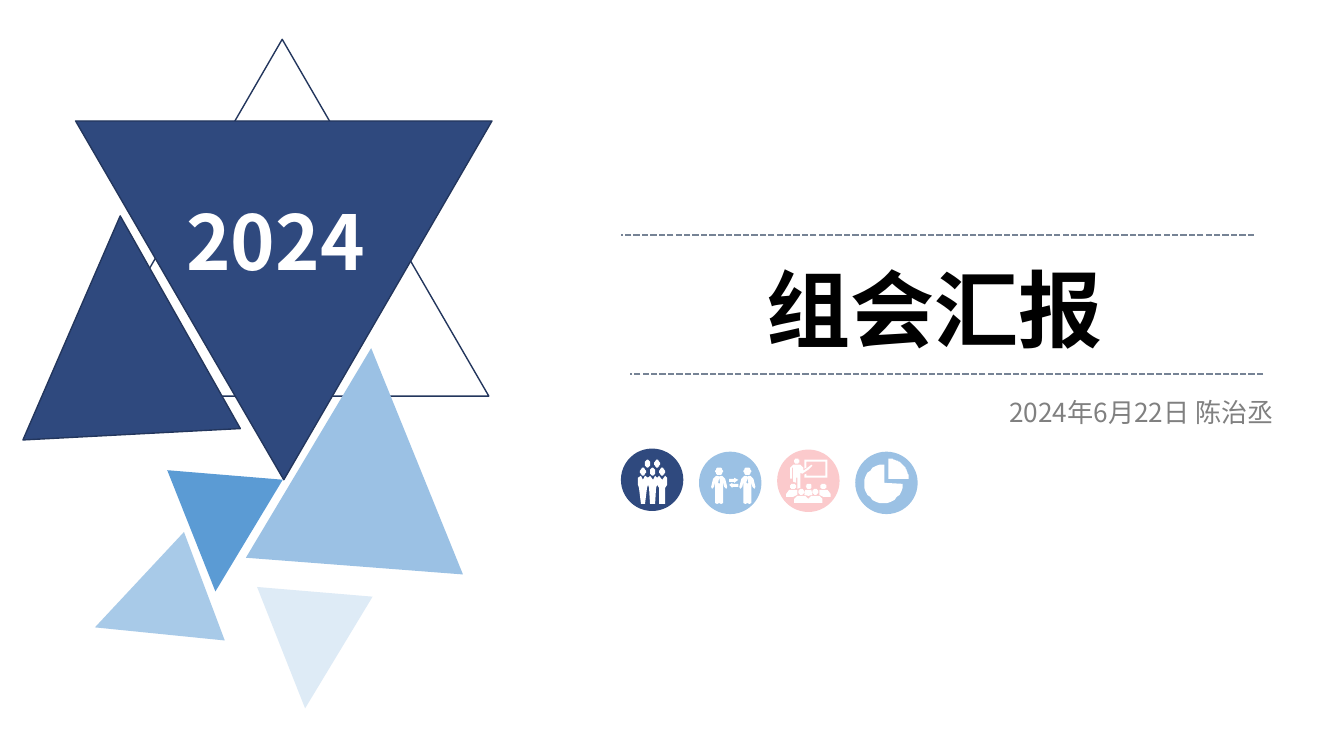
import math

import pptx
import pptx.dml.color
import pptx.enum.dml
import pptx.enum.shapes
import pptx.enum.text
import pptx.oxml
import pptx.oxml.ns
import pptx.util

Pt = pptx.util.Pt
RGBColor = pptx.dml.color.RGBColor
Shapes = pptx.enum.shapes.MSO_SHAPE
Align = pptx.enum.text.PP_ALIGN
Anchor = pptx.enum.text.MSO_ANCHOR

NAVY = RGBColor(0x2F, 0x49, 0x7E)
NAVY_EDGE = RGBColor(0x23, 0x36, 0x5D)
BLUE = RGBColor(0x5B, 0x9B, 0xD4)
LIGHT_BLUE = RGBColor(0x9B, 0xC1, 0xE4)
PINK = RGBColor(0xFB, 0xCA, 0xCC)
RULE_GRAY = RGBColor(0x76, 0x83, 0x95)
TEXT_GRAY = RGBColor(0x80, 0x80, 0x80)
BLACK = RGBColor(0, 0, 0)
WHITE = RGBColor(0xFF, 0xFF, 0xFF)
FONT = "Noto Sans CJK SC"

# left, top, width, height, rotation, fill, edge, opacity in percent
TRIANGLES = [
    (42, 0, 295.2, 254.9, 0, None, NAVY_EDGE, 100),
    (42, 58.3, 297.4, 256.3, 180, NAVY, NAVY_EDGE, 100),
    (0.2, 126, 155.5, 156.2, 357, NAVY, NAVY_EDGE, 100),
    (169.4, 220.3, 155.5, 156.2, 4.4, LIGHT_BLUE, None, 100),
    (103.9, 311, 82.8, 83.5, 184.7, BLUE, None, 100),
    (53.5, 363.6, 82.8, 83.5, 249.4, BLUE, None, 53),
    (168, 394.5, 82.8, 83.5, 184.8, BLUE, None, 20),
]

ICON_GRID = 62  # units across each disc
DISC_SIZE = 44.6
DISC_PITCH = 55.8


def paint(shape, fill, edge=None, opacity=100):
    shape.shadow.inherit = False
    if fill is None:
        shape.fill.background()
    else:
        shape.fill.solid()
        shape.fill.fore_color.rgb = fill
        if opacity < 100:
            color = shape._element.spPr.find(".//" + pptx.oxml.ns.qn("a:srgbClr"))
            color.append(pptx.oxml.parse_xml(
                f'<a:alpha {pptx.oxml.ns.nsdecls("a")} val="{opacity * 1000}"/>'))
    if edge is None:
        shape.line.fill.background()
    else:
        shape.line.color.rgb = edge
        shape.line.width = Pt(1)


def write(shape, box, text, size, color, bold, align, anchor):
    shape.left, shape.top, shape.width, shape.height = map(Pt, box)
    frame = shape.text_frame
    frame.text = text
    frame.word_wrap = True
    frame.auto_size = pptx.enum.text.MSO_AUTO_SIZE.NONE
    frame.vertical_anchor = anchor
    paragraph = frame.paragraphs[0]
    paragraph.alignment = align
    paragraph.space_before = Pt(0)
    font = paragraph.runs[0].font
    font.name, font.size, font.bold = FONT, Pt(size), bold
    font.color.rgb = color
    latin = font._element.find(pptx.oxml.ns.qn("a:latin"))
    latin.addnext(pptx.oxml.parse_xml(
        f'<a:ea {pptx.oxml.ns.nsdecls("a")} typeface="{FONT}"/>'))
    return paragraph


def add_triangles(slide, left, top):
    for x, y, width, height, rotation, fill, edge, opacity in TRIANGLES:
        triangle = slide.shapes.add_shape(
            Shapes.ISOSCELES_TRIANGLE, Pt(left + x), Pt(top + y), Pt(width), Pt(height))
        triangle.rotation = rotation
        paint(triangle, fill, edge, opacity)
    year = slide.shapes.add_textbox(0, 0, 0, 0)
    write(year, (left + 114, top + 107.3, 172.8, 72.7), "2024", 54, WHITE, True,
          Align.LEFT, Anchor.MIDDLE)


def add_heading(slide, left, top):
    for x, y in ((35.3, 99.3), (28.8, 0)):
        rule = slide.shapes.add_connector(
            pptx.enum.shapes.MSO_CONNECTOR.STRAIGHT,
            Pt(left + x + 452.2), Pt(top + y), Pt(left + x), Pt(top + y))
        rule.line.color.rgb = RULE_GRAY
        rule.line.width = Pt(1.5)
        rule.line.dash_style = pptx.enum.dml.MSO_LINE.SQUARE_DOT
        rule._element.spPr.append(pptx.oxml.parse_xml(
            f'<a:effectLst {pptx.oxml.ns.nsdecls("a")}/>'))
    write(slide.shapes.title, (left, top + 12.2, 505.4, 79.9), "组会汇报", 60, BLACK, True,
          Align.CENTER, Anchor.MIDDLE)
    date = write(slide.placeholders[1], (left + 295.2, top + 112.3, 211, 30.2),
                 "2024年6月22日 陈治丞", 18.7, TEXT_GRAY, False, Align.CENTER, Anchor.TOP)
    date.line_spacing = Pt(22)


def arc(x, y, radius_x, radius_y, start=0, end=360):
    """Points on an ellipse, clockwise from the right, angles in degrees."""
    steps = 24
    angles = [math.radians(start + (end - start) * i / steps) for i in range(steps + 1)]
    return [(x + radius_x * math.cos(a), y + radius_y * math.sin(a)) for a in angles]


def mirrored(x, half):
    """Close a right-hand half outline symmetrically about the vertical at x."""
    return [(x + dx, y) for dx, y in half] + [(x - dx, y) for dx, y in reversed(half)]


def team_icon():
    body = [(0, 31), (2.5, 27), (4.7, 29), (4.7, 36), (3.5, 39), (2.5, 55)]
    heads = [(22, 23), (31.5, 23), (41, 23), (26.5, 15), (36, 15)]
    return ([mirrored(x, body) for x in (22, 31.5, 41)]
            + [arc(x, y, 2.7, 4) for x, y in heads])


def exchange_icon():
    body = [(0, 25), (1, 24), (3, 24), (6, 27), (8, 35), (7, 37), (5, 35), (4, 30),
            (4, 51), (2, 52), (0.3, 51), (0.3, 39)]
    tie = [(0, 26), (1, 31), (0, 32)]
    contours = [
        [(33, 31), (33, 32), (39, 32), (39, 35), (33, 35), (33, 36), (30, 33)],
        [(35, 26), (39, 28), (35, 31), (35, 30), (30, 30), (30, 27), (35, 27)],
    ]
    for x in (20, 48):
        contours += [mirrored(x, body), mirrored(x, tie), arc(x, 19.5, 4, 3.5)]
    return contours


def lecture_icon():
    teacher = [(16, 15), (23, 15), (26, 18), (26, 21), (29, 19), (34, 15), (35, 16),
               (31, 20), (25, 24), (23, 23), (23, 38), (20, 39), (20, 28), (19, 28),
               (19, 33), (16, 32), (16, 18), (15, 18), (15, 29), (13, 29), (13, 18)]
    board = [(27, 19), (27, 10), (50, 10), (50, 28), (27, 28), (27, 25), (29, 24),
             (29, 26), (48, 26), (48, 12), (29, 12), (29, 18)]
    back_row = [(-4, 40), (4, 40), (4, 45), (0, 47), (-7, 47), (-7, 44)]
    front = [(4, 46), (6.8, 49), (6.8, 53)]
    heads = [(24, 42), (38, 42), (16, 36.5), (31.5, 36.5), (46, 36.5)]
    return [
        teacher, board, arc(19.5, 11.5, 2.5, 2.5),
        [(16 + x, y) for x, y in back_row], [(46 - x, y) for x, y in back_row],
        mirrored(31, [(3, 40), (4, 45), (0, 46)]),
        mirrored(24, front), mirrored(38, front),
    ] + [arc(x, y, 3, 2.7) for x, y in heads]


def pie_icon():
    return [[(29, 31)] + arc(28, 32, 19, 19, 0, 270) + [(29, 13)],
            [(33, 27)] + arc(33, 27, 20, 20, 270, 360)]


def add_icon(slide, left, top, color, contours):
    group = slide.shapes.add_group_shape()
    disc = group.shapes.add_shape(
        Shapes.OVAL, Pt(left), Pt(top), Pt(DISC_SIZE), Pt(DISC_SIZE))
    paint(disc, color)
    builder = group.shapes.build_freeform(*contours[0][0], scale=Pt(DISC_SIZE) / ICON_GRID)
    builder.add_line_segments(contours[0][1:], close=True)
    for contour in contours[1:]:
        builder.move_to(*contour[0])
        builder.add_line_segments(contour[1:], close=True)
    paint(builder.convert_to_shape(Pt(left), Pt(top)), WHITE)


def add_icon_row(slide, left, top):
    icons = [(0, NAVY, team_icon()), (2.2, LIGHT_BLUE, exchange_icon()),
             (0.7, PINK, lecture_icon()), (2.2, LIGHT_BLUE, pie_icon())]
    for index, (drop, color, contours) in enumerate(icons):
        add_icon(slide, left + index * DISC_PITCH, top + drop, color, contours)


def main():
    presentation = pptx.Presentation()
    presentation.slide_width, presentation.slide_height = Pt(960), Pt(540)
    slide = presentation.slides.add_slide(presentation.slide_layouts[0])
    add_triangles(slide, 12, 28.1)
    add_heading(slide, 414.7, 167.8)
    add_icon_row(slide, 443.5, 320.4)
    presentation.save("out.pptx")


if __name__ == "__main__":
    main()
